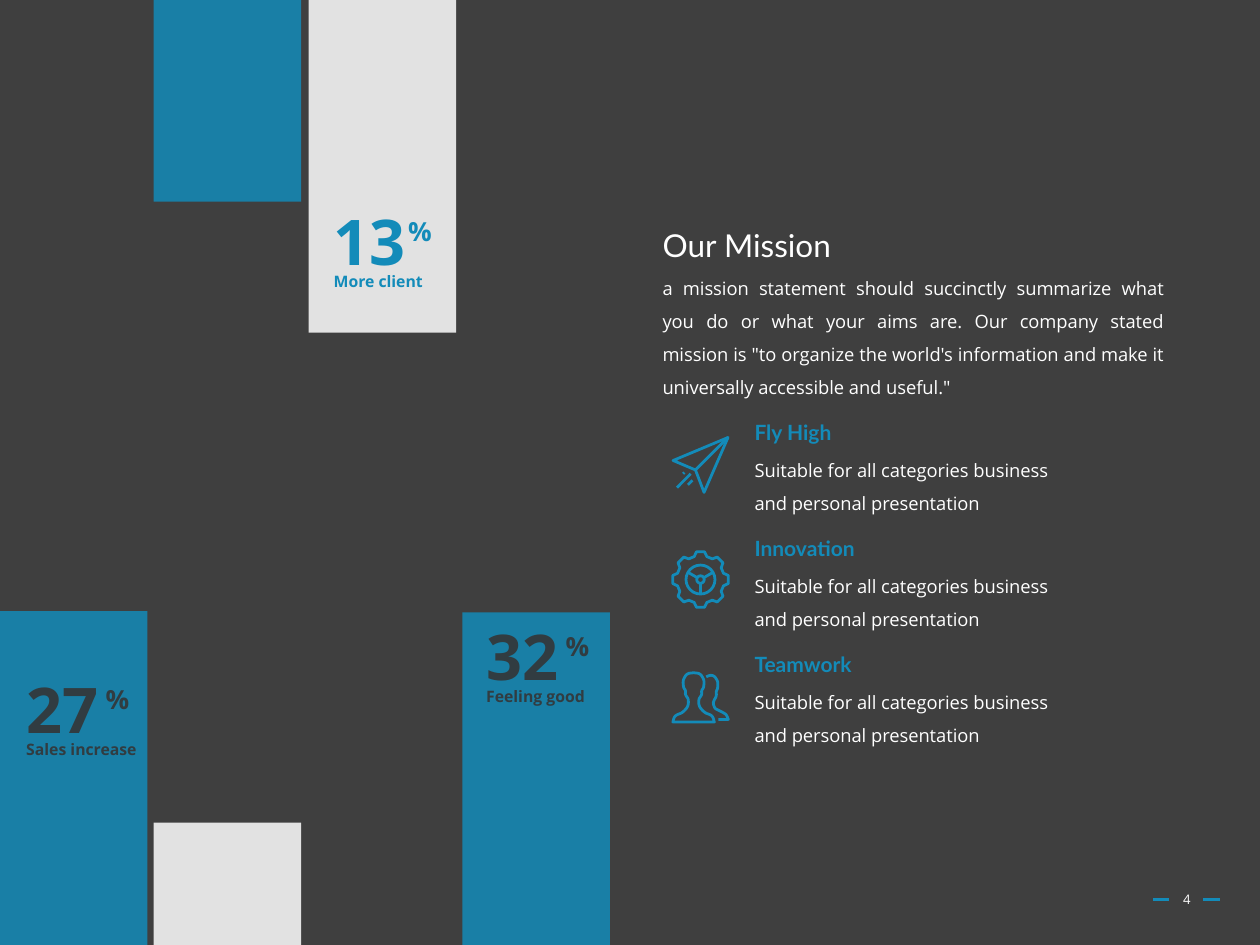
from dataclasses import dataclass
from math import cos, pi, sin

from lxml import etree
from pptx import Presentation
from pptx import util as u
from pptx.dml.color import RGBColor
from pptx.enum import shapes, text
from pptx.oxml.ns import qn

PX = 9144  # EMU, 100 px to the inch
ICON_UNIT = 914.4  # EMU, 1000 icon units to the inch
BLUE, WHITE, SLATE, GREY = "138BB9", "FFFFFF", "313C41", "3F3F3F"
SANS, LATO = "Open Sans", "Lato"
STROKE = 1.6


@dataclass
class Bar:
    left: int
    top: int
    height: int
    colour: str


@dataclass
class Stat:
    left: int
    top: int
    number: str
    label: str
    percent_offset: int
    colour: str


@dataclass
class Value:
    top: int
    name: str
    width: int


BARS = [
    Bar(0, 485, 265, BLUE),
    Bar(122, 653, 97, WHITE),
    Bar(122, 0, 160, BLUE),
    Bar(245, 0, 264, WHITE),
    Bar(367, 486, 264, BLUE),
]
STATS = [
    Stat(11, 527, "27", "Sales increase", 63, SLATE),
    Stat(255, 156, "13", "More client", 59, BLUE),
    Stat(376, 485, "32", "Feeling good", 63, SLATE),
]
VALUES = [Value(328, "Fly High", 82), Value(420, "Innovation", 101), Value(512, "Teamwork", 100)]
VALUE_TEXT = "Suitable for all categories business and personal presentation"
MISSION = (
    "a mission statement should succinctly summarize what you do or what your aims are. "
    "Our company stated mission is \"to organize the world's information and make it "
    "universally accessible and useful.\""
)


def px(length: float) -> u.Emu:
    return u.Emu(round(length * PX))


def rgb(colour: str) -> RGBColor:
    return RGBColor.from_string(colour)


def set_all(target, values: dict) -> None:
    for name, value in values.items():
        setattr(target, name, value)


def write(box, words: str, size: float, font: str, colour: str, bold=False,
          wrap=True, grow=True, frame_format=None, para_format=None) -> None:
    frame = box.text_frame
    fit = text.MSO_AUTO_SIZE
    set_all(frame, {"word_wrap": wrap, "auto_size": fit.SHAPE_TO_FIT_TEXT if grow else fit.NONE,
                    **(frame_format or {})})
    para = frame.paragraphs[0]
    set_all(para, para_format or {})
    span = para.add_run()
    span.text = words
    set_all(span.font, {"size": u.Pt(size), "name": font, "bold": bold})
    span.font.color.rgb = rgb(colour)


def add_text(page, left: int, top: int, width: int, height: int, *args, **kwargs) -> None:
    write(page.shapes.add_textbox(px(left), px(top), px(width), px(height)), *args, **kwargs)


def add_bar(page, bar: Bar) -> None:
    shape = page.shapes.add_shape(shapes.MSO_SHAPE.RECTANGLE, px(bar.left), px(bar.top),
                                  px(117), px(bar.height))
    shape.shadow.inherit = False
    shape.fill.solid()
    shape.fill.fore_color.rgb = rgb(bar.colour)
    shape.line.fill.background()
    colour = shape._element.spPr.find(qn("a:solidFill"))[0]
    etree.SubElement(colour, qn("a:alpha"), val="85000")


def add_line(page, x1: float, y1: float, x2: float, y2: float, weight=STROKE) -> None:
    line = page.shapes.add_connector(shapes.MSO_CONNECTOR.STRAIGHT, px(x1), px(y1), px(x2), px(y2))
    line.line.color.rgb = rgb(BLUE)
    line.line.width = u.Pt(weight)
    etree.SubElement(line._element.spPr, qn("a:effectLst"))


def outline(shape) -> None:
    shape.shadow.inherit = False
    shape.fill.background()
    shape.line.color.rgb = rgb(BLUE)
    shape.line.width = u.Pt(STROKE)


def add_path(page, left: int, top: int, points: list, close=True) -> None:
    """Outline through points given in icon units from (left, top) in px."""
    placed = [(left * 10 + x, top * 10 + y) for x, y in points]
    builder = page.shapes.build_freeform(*placed[0], scale=ICON_UNIT)
    builder.add_line_segments(placed[1:], close=close)
    outline(builder.convert_to_shape())


def add_circle(page, x: float, y: float, radius: float) -> None:
    outline(page.shapes.add_shape(shapes.MSO_SHAPE.OVAL, px(x - radius), px(y - radius),
                                  px(2 * radius), px(2 * radius)))


def smooth(points: list, steps=6) -> list:
    """Catmull-Rom curve through the points."""
    ends = [points[0], *points, points[-1]]
    curve = []
    for a, b, c, d in zip(ends, ends[1:], ends[2:], ends[3:]):
        for t in (step / steps for step in range(steps)):
            curve.append(tuple(
                (2 * q + (r - p) * t + (2 * p - 5 * q + 4 * r - s) * t**2
                 + (3 * q - p - 3 * r + s) * t**3) / 2
                for p, q, r, s in zip(a, b, c, d)))
    return curve + [points[-1]]


def draw_plane(page, left: int, top: int) -> None:
    fold, tip = (190, 270), (448, 12)
    add_path(page, left, top, [(12, 195), tip, (258, 448), fold])
    for start, end in [(fold, tip), ((43, 410), (152, 300)), ((130, 388), (166, 352)),
                       ((92, 300), (102, 290))]:
        add_line(page, *(origin + value / 10 for point in (start, end)
                         for origin, value in zip((left, top), point)))


def draw_gear(page, left: int, top: int) -> None:
    tooth = [(-50, -182), (-32, -220), (32, -220), (50, -182)]
    turns = [step * pi / 4 for step in range(8)]
    add_path(page, left, top, [(230 + x * cos(turn) - y * sin(turn),
                                230 + x * sin(turn) + y * cos(turn))
                               for turn in turns for x, y in tooth])
    x, y, hub, rim = left + 23, top + 23, 3, 11.5
    for radius in (hub, rim):
        add_circle(page, x, y, radius)
    for angle in (pi / 2, pi * 7 / 6, pi * 11 / 6):
        add_line(page, x + hub * cos(angle), y + hub * sin(angle),
                 x + rim * cos(angle), y + rim * sin(angle))


def draw_people(page, left: int, top: int) -> None:
    middle = 175
    right = [(225, 20), (255, 65), (255, 120), (240, 150), (238, 185), (218, 220),
             (222, 275), (262, 322), (320, 352), (340, 400)]
    mirrored = [(2 * middle - x, y) for x, y in reversed(right)]
    add_path(page, left, top, smooth([*mirrored, (middle, 10), *right]))
    back = [(275, 42), (310, 30), (340, 40), (365, 80), (365, 130), (355, 160), (354, 195),
            (332, 245), (345, 290), (382, 312), (430, 340), (450, 380)]
    add_path(page, left, top, smooth(back) + [(372, 380)], close=False)


def add_stat(page, stat: Stat) -> None:
    style = {"font": SANS, "colour": stat.colour, "bold": True}
    add_text(page, stat.left, stat.top, 78, 71, stat.number, 36, wrap=False, **style)
    add_text(page, stat.left, stat.top + 55, 108, 25, stat.label, 9, **style)
    add_text(page, stat.left + stat.percent_offset, stat.top + 10, 39, 35, "%", 15,
             wrap=False, **style)


def add_value(page, value: Value) -> None:
    add_text(page, 589, value.top, value.width, 30, value.name, 12, LATO, BLUE,
             bold=True, wrap=False)
    add_text(page, 589, value.top + 23, 261, 63, VALUE_TEXT, 10.5, SANS, WHITE,
             para_format={"line_spacing": 1.5})


def add_title(page) -> None:
    title = page.shapes.title
    set_all(title, {"left": px(516), "top": px(174), "width": px(325), "height": px(40)})
    write(title, "Our Mission", 18, LATO, WHITE,
          frame_format={"vertical_anchor": text.MSO_ANCHOR.TOP},
          para_format={"alignment": text.PP_ALIGN.LEFT})


def add_page_number(page) -> None:
    for left in (915, 955):
        add_line(page, left, 714, left + 13, 714, weight=1.75)
    add_text(page, 920, 694, 44, 40, "4", 7.5, SANS, WHITE, grow=False,
             frame_format={"vertical_anchor": text.MSO_ANCHOR.MIDDLE},
             para_format={"alignment": text.PP_ALIGN.CENTER})


def main() -> None:
    deck = Presentation()
    set_all(deck, {"slide_width": px(1000), "slide_height": px(750)})
    page = deck.slides.add_slide(deck.slide_layouts[5])
    page.background.fill.solid()
    page.background.fill.fore_color.rgb = rgb(GREY)

    add_page_number(page)
    for bar in BARS:
        add_bar(page, bar)
    add_title(page)
    add_text(page, 516, 206, 418, 125, MISSION, 10.5, SANS, WHITE, grow=False,
             para_format={"alignment": text.PP_ALIGN.JUSTIFY, "line_spacing": 1.5})
    for stat in STATS:
        add_stat(page, stat)
    for value in VALUES:
        add_value(page, value)
    draw_plane(page, 533, 346)
    draw_gear(page, 533, 437)
    draw_people(page, 533, 533)
    deck.save("out.pptx")


if __name__ == "__main__":
    main()
